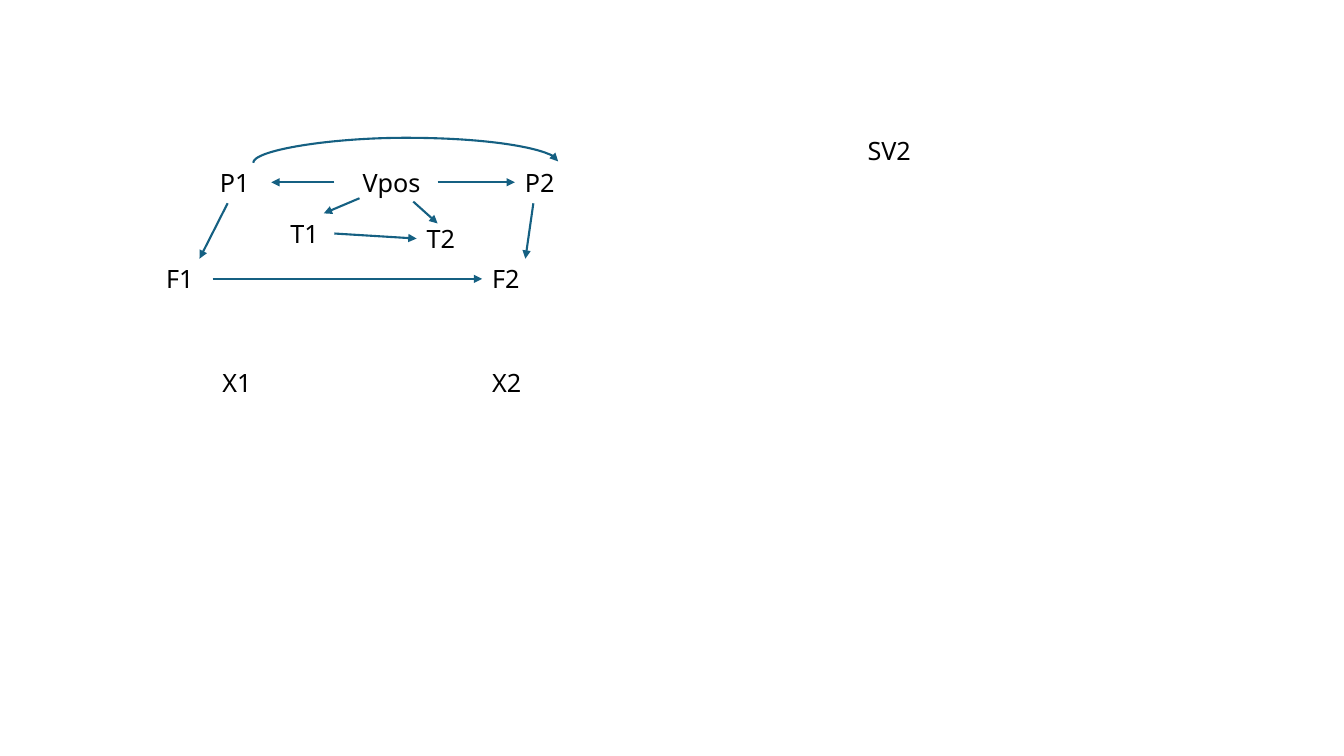
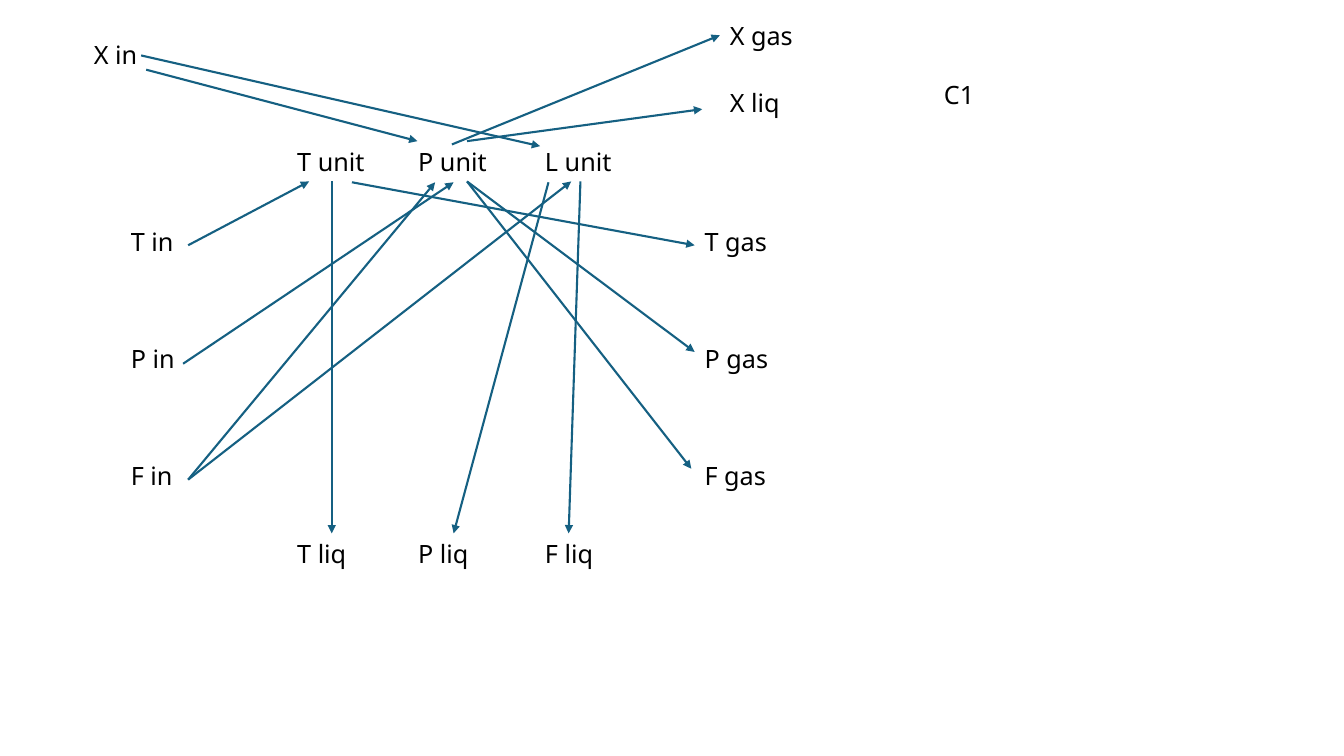
"""Build two slides of variable graphs: labels joined by causal arrows."""
from lxml.etree import SubElement
from pptx import Presentation
from pptx.dml.color import RGBColor
from pptx.enum.shapes import MSO_CONNECTOR as LINK
from pptx.oxml.ns import qn
from pptx.util import Emu, Pt

COLORS = {"text": "000000", "arrow": "156082"}
FONT = "Noto Sans"
COLUMNS, ROWS, CELL = 160, 90, 76200
LINE_ROWS = 4.8
NODE_COLUMNS = 10.3
TAB_COLUMNS = (14.4, 29.5)
TOP, LEFT, BOTTOM = 0, 1, 2


def add_label(slide, text, left, top, width, height=LINE_ROWS):
    """Place a text label, given in grid columns and rows."""
    label = slide.shapes.add_textbox(*(Emu(round(n * CELL)) for n in (left, top, width, height)))
    label.text_frame.word_wrap = True
    label.text_frame.text = text
    for paragraph in label.text_frame.paragraphs:
        if "\n" in text:
            paragraph.space_after = Pt(62)
        if "\t" in text:
            stops = SubElement(paragraph._p.get_or_add_pPr(), qn("a:tabLst"))
            for column in TAB_COLUMNS:
                SubElement(stops, qn("a:tab"), pos=str(round(column * CELL)), algn="l")
        paragraph.font.name = FONT
        paragraph.font.size = Pt(18)
        paragraph.font.color.rgb = RGBColor.from_string(COLORS["text"])
    return label


def add_arrow(slide, labels, start, end, kind=LINK.STRAIGHT):
    """Draw an arrow between grid points or (label, side) joints."""
    arrow = slide.shapes.add_connector(kind, 0, 0, 0, 0)
    if start[0] in labels:
        arrow.begin_connect(labels[start[0]], start[1])
    else:
        arrow.begin_x, arrow.begin_y = (Emu(round(n * CELL)) for n in start)
    if end[0] in labels:
        arrow.end_connect(labels[end[0]], end[1])
    else:
        arrow.end_x, arrow.end_y = (Emu(round(n * CELL)) for n in end)
    arrow.line.color.rgb = RGBColor.from_string(COLORS["arrow"])
    arrow.line.width = Pt(1.5)
    SubElement(arrow.line._get_or_add_ln(), qn("a:tailEnd"), type="triangle")
    SubElement(arrow._element.spPr, qn("a:effectLst"))
    return arrow


deck = Presentation()
deck.slide_width, deck.slide_height = COLUMNS * CELL, ROWS * CELL
for latin in deck.element.iter(qn("a:latin")):
    latin.set("typeface", FONT)
blank = deck.slide_layouts[6]

valve = deck.slides.add_slide(blank)
add_label(valve, "SV2", 102.1, 15.5, 40.2)
nodes = {
    text: add_label(valve, text, left, top, NODE_COLUMNS)
    for text, left, top in (
        ("T1", 33.4, 25.4), ("F1", 18.6, 30.8), ("P1", 25, 19.3),
        ("Vpos", 42, 19.3), ("P2", 61.3, 19.3), ("T2", 49.6, 26),
        ("F2", 57.4, 30.8), ("X1", 25.3, 43.1), ("X2", 57.4, 43.1),
    )
}
for start, end in (
    ((39.8, 21.7), (32.3, 21.7)),
    ((52.1, 21.7), ("P2", LEFT)),
    ((25.3, 33.2), ("F2", LEFT)),
    ((39.8, 27.8), ("T2", LEFT)),
    ((42.8, 23.6), ("T1", TOP)),
    ((27.1, 24.2), ("F1", TOP)),
    ((63.5, 24.2), ("F2", TOP)),
    ((49.2, 24), (52.1, 26.6)),
):
    add_arrow(valve, nodes, start, end)

arc = add_arrow(valve, nodes, ("P1", TOP), ("P2", TOP), LINK.CURVE)
span = nodes["P2"].left - nodes["P1"].left
middle = nodes["P1"].left + nodes["P1"].width // 2 + span // 2
arc.width, arc.height = Pt(1), span
arc.left, arc.top = middle - Pt(1) // 2, nodes["P1"].top - span // 2
turn = arc._element.spPr.find(qn("a:xfrm"))
for key, value in (("rot", "5400000"), ("flipH", "1"), ("flipV", "1")):
    turn.set(key, value)
outline = arc._element.spPr.find(qn("a:prstGeom"))
bends = outline.find(qn("a:avLst"))
if bends is None:
    bends = SubElement(outline, qn("a:avLst"))
SubElement(bends, qn("a:gd"), name="adj1", fmla="val 1800000")

separator = deck.slides.add_slide(blank)
add_label(separator, "C1", 111.2, 8.9, 22.7)
add_label(separator, "T in\nP in\nF in", 14.4, 26.4, 10.1, 34)
add_label(separator, "T gas\nP gas\nF gas", 82.7, 26.4, 11.4, 34)
add_label(separator, "T liq\tP liq\tF liq", 34.2, 63.5, 42.8)
add_label(separator, "X in", 10, 4.1, 12.5)
add_label(separator, "X liq", 85.7, 9.8, 12.5)
joints = {
    "unit": add_label(separator, "T unit\tP unit\tL unit", 34.2, 16.8, 42.8),
    "X gas": add_label(separator, "X gas", 85.7, 1.8, 12.5),
}
for start, end in (
    ((22.4, 29.2), (36.8, 21.6)),
    ((39.5, 21.6), (39.5, 63.5)),
    ((41.9, 21.7), (82.7, 29.2)),
    ((21.8, 43.3), (54, 21.7)),
    ((65.3, 21.7), (54, 63.5)),
    ((69.1, 21.6), (67.7, 63.5)),
    (("unit", BOTTOM), (82.7, 41.9)),
    (("unit", BOTTOM), (82.3, 55.8)),
    ((22.4, 57.1), (51.8, 21.7)),
    ((22.4, 57.1), (68, 21.6)),
    ((17.4, 8.3), (49.7, 16.8)),
    ((16.8, 6.6), (64.3, 17.4)),
    (("unit", TOP), (83.6, 13)),
    ((53.8, 17.2), ("X gas", LEFT)),
):
    add_arrow(separator, joints, start, end)

deck.save("out.pptx")
